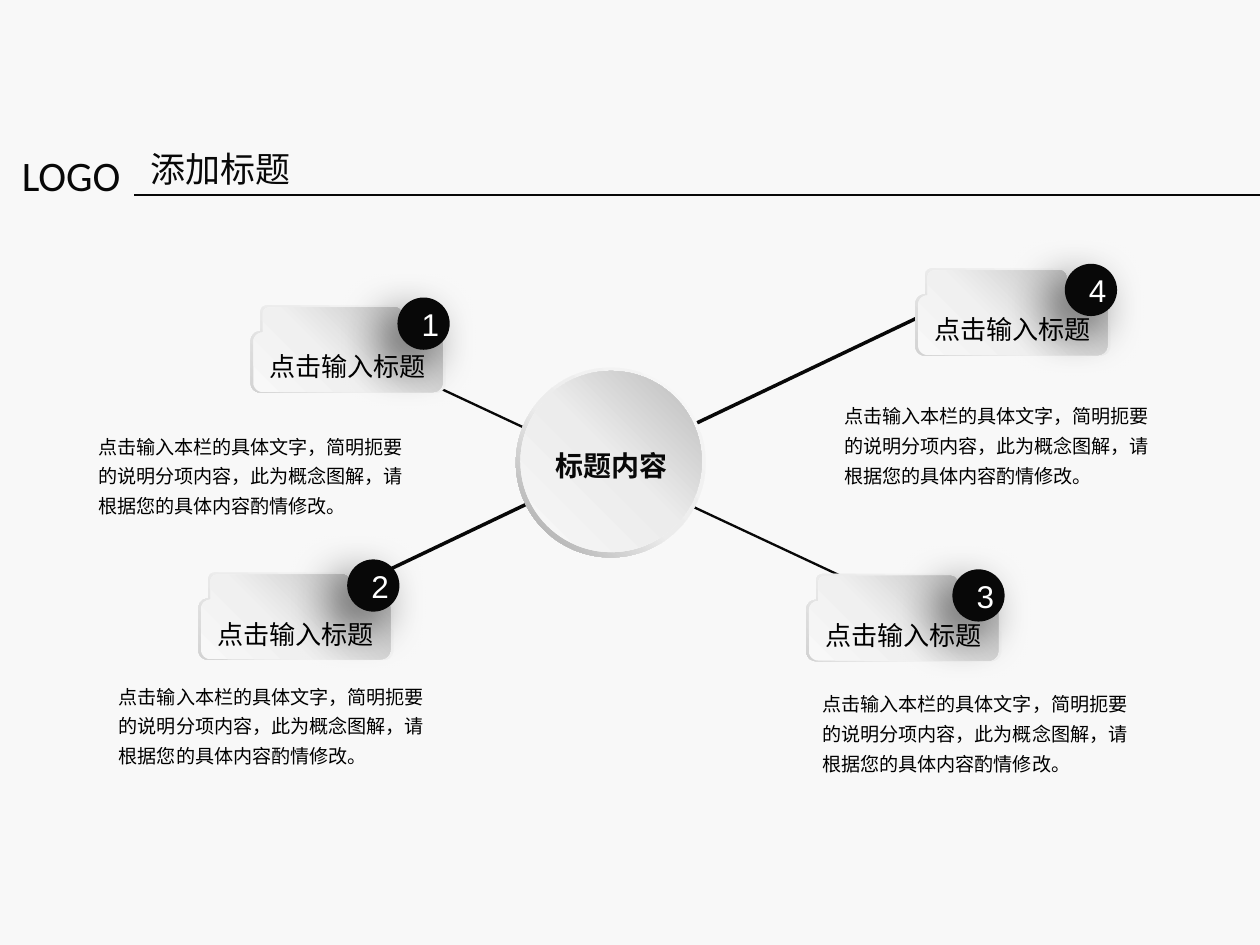
"""Build a slide with a central topic linked to four numbered cards."""
import math

import lxml.etree
import pptx
import pptx.dml.color
import pptx.enum.shapes
import pptx.enum.text
import pptx.oxml.ns
import pptx.util

Cm = pptx.util.Cm
Pt = pptx.util.Pt
SHAPES = pptx.enum.shapes.MSO_SHAPE
ALIGN = pptx.enum.text.PP_ALIGN
qn = pptx.oxml.ns.qn

CJK = "Noto Sans CJK SC"
INK, PAPER, BLACK, WHITE = "080808", "F8F8F8", "000000", "FFFFFF"
CARD_TITLE = "点击输入标题"
CARD_BODY = "点击输入本栏的具体文字，简明扼要的说明分项内容，此为概念图解，请根据您的具体内容酌情修改。"

CARDS = [
    {"number": "1", "card": (3.79, 4.62), "body": (1.24, 6.35), "badge": (6.01, 4.5)},
    {"number": "2", "card": (3.0, 8.66), "body": (1.55, 10.13), "badge": (5.25, 8.46)},
    {"number": "3", "card": (12.19, 8.68), "body": (12.19, 10.24), "badge": (14.4, 8.61)},
    {"number": "4", "card": (13.84, 4.06), "body": (12.52, 5.89), "badge": (16.1, 3.99)},
]
LINES = [
    (2.03, 2.95, 19.05, 2.95, 0.75),
    (13.74, 9.19, 6.2, 5.66, 1),
    (4.55, 9.25, 14.05, 4.72, 1.5),
]
CARD_CORNERS = [
    (0.15, 0, 0.1), (2.31, 0, 0.1), (2.31, 0.39, 0), (2.95, 0.39, 0.15),
    (2.95, 1.32, 0.15), (0, 1.32, 0.15), (0, 0.39, 0.15), (0.15, 0.39, 0),
]
CARD_RIM = ([(0, PAPER), (62, "ECECEC"), (100, "D3D3D3")], 225)
CARD_FACE = ([(0, PAPER), (39, "F0F0F0"), (100, "BABABA")], 45)
HUB_RIM = ([(0, PAPER), (55, "ECECEC"), (100, "A1A1A1")], 225)
HUB_FACE = ([(0, PAPER), (51, "ECECEC"), (100, "BABABA")], 45)

deck = pptx.Presentation()
deck.slide_width, deck.slide_height = Cm(19.05), Cm(14.29)
page = deck.slides.add_slide(deck.slide_layouts[6])


def paint(fill, color):
    """Apply a solid hex colour to a fill."""
    fill.solid()
    fill.fore_color.rgb = pptx.dml.color.RGBColor.from_string(color)


def shade(shape, stops, angle):
    """Give a shape a linear gradient without outline or shadow."""
    shape.shadow.inherit = False
    shape.line.fill.background()
    shape.fill.gradient()
    shape.fill.gradient_angle = angle
    stop_list = shape._element.spPr.find(qn("a:gradFill")).find(qn("a:gsLst"))
    for old in list(stop_list):
        stop_list.remove(old)
    for position, color in stops:
        stop = lxml.etree.SubElement(stop_list, qn("a:gs"), pos=str(position * 1000))
        lxml.etree.SubElement(stop, qn("a:srgbClr"), val=color)


def write(shape, text, size, color, face=CJK, bold=False, **layout):
    """Write one formatted paragraph into a shape."""
    para = shape.text_frame.paragraphs[0]
    for name, value in layout.items():
        setattr(para, name, value)
    span = para.add_run()
    span.text = text
    paint(span.font.fill, color)
    for name, value in {"size": Pt(size), "name": face, "bold": bold}.items():
        setattr(span.font, name, value)
    lxml.etree.SubElement(span.font._element, qn("a:ea"), typeface=face)


def add_text(area, text, size, color, wrap=True, margin=None, **style):
    """Add a text box that grows with its text."""
    box = page.shapes.add_textbox(*map(Cm, area))
    box.text_frame.word_wrap = wrap
    box.text_frame.auto_size = pptx.enum.text.MSO_AUTO_SIZE.SHAPE_TO_FIT_TEXT
    if margin is not None:
        for side in ("left", "top", "right", "bottom"):
            setattr(box.text_frame, "margin_" + side, Cm(margin))
    write(box, text, size, color, **style)


def add_line(left, top, right, bottom, width):
    """Add a straight ink line."""
    line = page.shapes.add_connector(
        pptx.enum.shapes.MSO_CONNECTOR.STRAIGHT, *map(Cm, (left, top, right, bottom)))
    paint(line.line.fill, INK)
    line.line.width = Pt(width)
    lxml.etree.SubElement(line._element.spPr, qn("a:effectLst"))


def toward(start, end, distance):
    """Return the point a given distance from start on the way to end."""
    share = distance / math.dist(start, end)
    return tuple(a + (b - a) * share for a, b in zip(start, end))


def rounded_outline(corners, steps=6):
    """Return outline points with each corner eased by its radius."""
    points = []
    for index, (x, y, radius) in enumerate(corners):
        corner = (x, y)
        if not radius:
            points.append(corner)
            continue
        before = toward(corner, corners[index - 1][:2], radius)
        after = toward(corner, corners[(index + 1) % len(corners)][:2], radius)
        for step in range(steps + 1):
            turn = math.pi / 2 * step / steps
            points.append(tuple(
                c + (b - c) * (1 - math.sin(turn)) + (a - c) * (1 - math.cos(turn))
                for b, c, a in zip(before, corner, after)))
    return points


def add_card(left, top, scale, gradient):
    """Add one stepped card layer."""
    points = [(Cm(left + x * scale), Cm(top + y * scale))
              for x, y in rounded_outline(CARD_CORNERS)]
    builder = page.shapes.build_freeform(*points[0])
    builder.add_line_segments(points[1:], close=True)
    shade(builder.convert_to_shape(), *gradient)


def add_badge(left, top, number):
    """Add a numbered disc with a soft shadow."""
    badge = page.shapes.add_shape(SHAPES.OVAL, *map(Cm, (left, top, 0.79, 0.79)))
    badge.shadow.inherit = False
    paint(badge.fill, INK)
    badge.line.fill.background()
    effects = badge._element.spPr.find(qn("a:effectLst"))
    shadow = lxml.etree.SubElement(
        effects, qn("a:outerShdw"), blurRad=str(Pt(20)), dist=str(Pt(10)),
        dir=str(135 * 60000), algn="tr", rotWithShape="0")
    tint = lxml.etree.SubElement(shadow, qn("a:srgbClr"), val=BLACK)
    lxml.etree.SubElement(tint, qn("a:alpha"), val="60000")
    badge.text_frame.word_wrap = True
    badge.text_frame.vertical_anchor = pptx.enum.text.MSO_ANCHOR.MIDDLE
    write(badge, number, 13.5, WHITE, face="Arial", alignment=ALIGN.CENTER)


paint(page.background.fill, PAPER)
add_text((2.03, 2.11, 7.09, 0.89), "添加标题", 15, INK)
add_text((0.08, 2.13, 2.11, 1.02), "LOGO", 18, INK, face="Calibri")
for line in LINES:
    add_line(*line)

for item in CARDS:
    left, top = item["card"]
    add_card(left, top, 1, CARD_RIM)
    add_card(left + 0.04, top + 0.03, 0.97, CARD_FACE)
    add_text((left + 0.04, top + 0.56, 2.92, 0.74), CARD_TITLE, 11.2, BLACK, wrap=False)

rim = page.shapes.add_shape(SHAPES.DONUT, Cm(7.8), Cm(5.56), Cm(2.87), Cm(2.87))
rim.adjustments[0] = 0.05
shade(rim, *HUB_RIM)
face = page.shapes.add_shape(SHAPES.OVAL, Cm(7.87), Cm(5.61), Cm(2.74), Cm(2.74))
shade(face, *HUB_FACE)
add_text((8.28, 6.78, 1.93, 0.51), "标题内容", 12, INK, margin=0, bold=True,
         alignment=ALIGN.CENTER)

for item in CARDS:
    add_text((*item["body"], 5.11, 1.63), CARD_BODY, 8.2, BLACK, line_spacing=1.3)
    add_badge(*item["badge"], item["number"])

deck.save("out.pptx")
